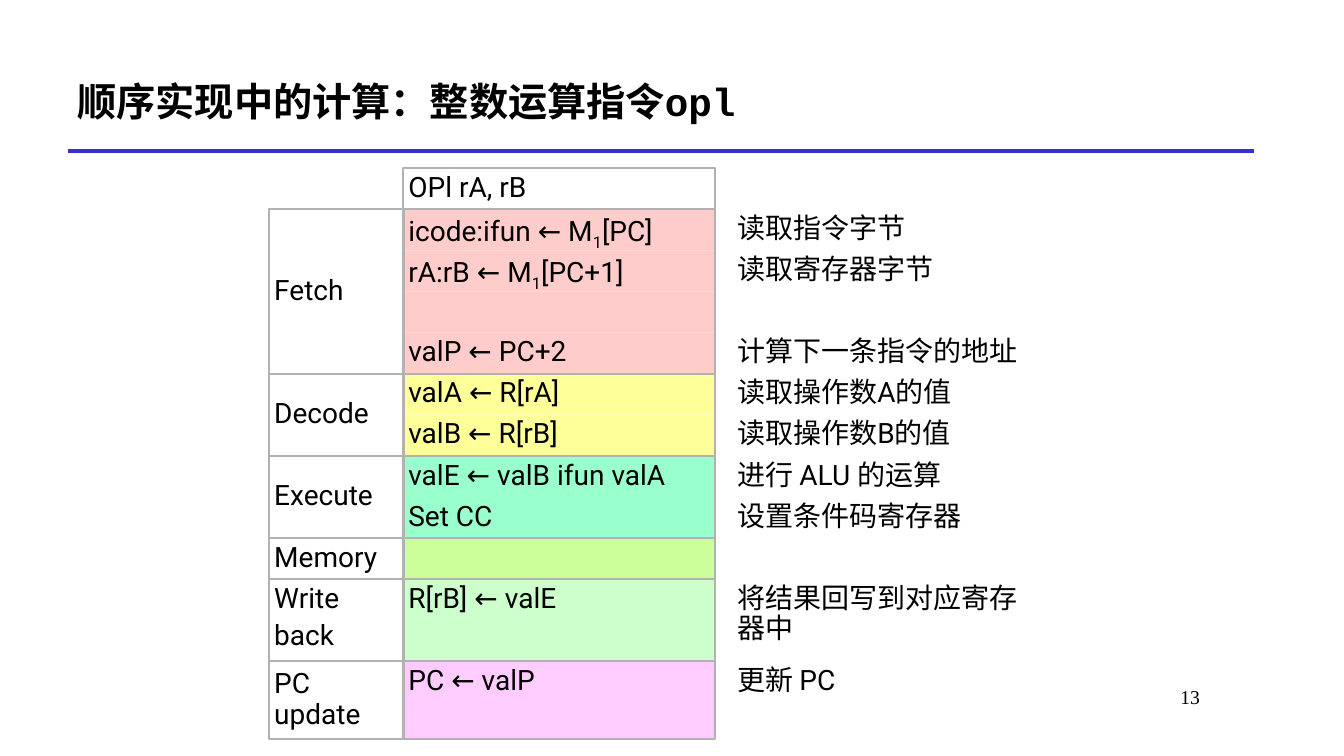
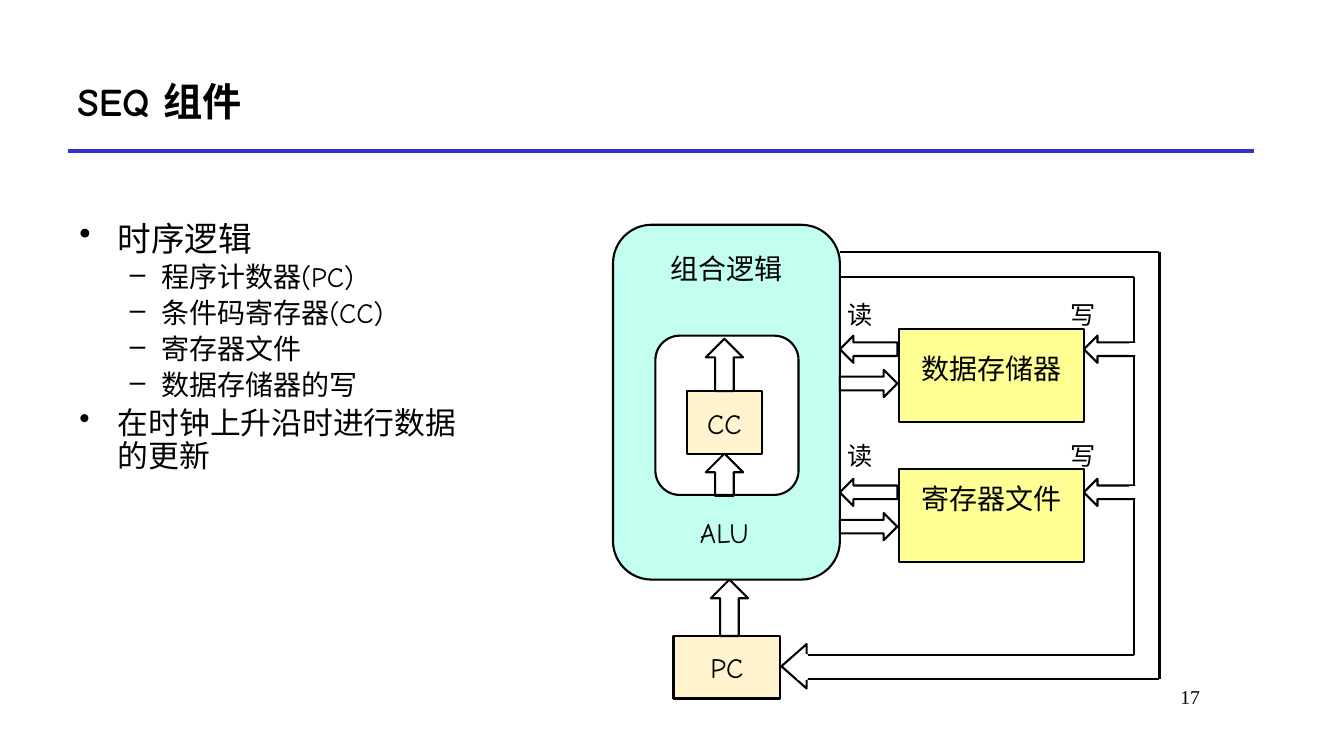
from itertools import pairwise
from lxml.etree import SubElement
from pptx import Presentation
from pptx.dml.color import RGBColor
from pptx.enum.shapes import MSO_CONNECTOR as LINK, MSO_SHAPE as FORM
from pptx.enum.text import MSO_ANCHOR as ANCHOR, PP_ALIGN as ALIGN
from pptx.oxml.ns import qn
from pptx.util import Inches, Pt

BLACK, WHITE, BLUE, GREY = "000000", "FFFFFF", "3333CC", "B2B2B2"
YELLOW, CREAM, MINT = "FFFF93", "FFF4CD", "C2FFF0"

TITLE = {"size": Pt(28), "bold": True}
NUMBER = {"size": Pt(14), "name": "Times New Roman"}
CODE = {"size": Pt(20), "name": "Roboto"}
LABEL = {"size": Pt(20), "name": "Comic Neue"}
SMALL = LABEL | {"size": Pt(18)}

TIGHT = {"line_spacing": 0.9}
MID = {"alignment": ALIGN.CENTER}
INSET = {f"margin_{side}": Inches(0.05) for side in ("left", "top", "right", "bottom")}
CENTRED = {"vertical_anchor": ANCHOR.MIDDLE}


def paint(fill, shade):
    if shade is None:
        fill.background()
    else:
        fill.solid()
        fill.fore_color.rgb = RGBColor.from_string(shade)


def draw(page, form, at, fill=None, line=None, text="", font={}, para={}, frame={}):
    place = [Inches(n) for n in at]
    if form is None:
        shape = page.shapes.add_textbox(*place)
    else:
        shape = page.shapes.add_shape(form, *place)
        shape.shadow.inherit = False
        paint(shape.fill, fill)
        paint(shape.line.fill, line)
        if line:
            shape.line.width = Pt(1.5)
    body = shape.text_frame
    for key, value in ({"word_wrap": True, "vertical_anchor": ANCHOR.TOP} | frame).items():
        setattr(body, key, value)
    for i, words in enumerate(text.split("\n") if text else []):
        part = body.add_paragraph() if i else body.paragraphs[0]
        for key, value in ({"alignment": ALIGN.LEFT} | para).items():
            setattr(part, key, value)
        for j, piece in enumerate(words.split("_")):
            run = part.add_run()
            run.text = piece
            for key, value in font.items():
                setattr(run.font, key, value)
            paint(run.font.fill, BLACK)
            if j % 2:
                run.font._element.set("baseline", "-25000")
    return shape


deck = Presentation()
deck.slide_width, deck.slide_height = Inches(13.33), Inches(7.5)
pages, wires = [], []

heads = [
    ("顺序实现中的计算：整数运算指令opl", "Courier New", "13"),
    ("SEQ 组件", "Comic Neue", "17"),
]
for title, face, number in heads:
    page = deck.slides.add_slide(deck.slide_layouts[6])
    pages.append(page)
    wires.append((page, (0.67, 1.5), (12.44, 1.5), BLUE, 3))
    draw(page, None, (10.11, 6.75, 1.89, 0.5), text=number, font=NUMBER,
         para={"alignment": ALIGN.RIGHT})
    draw(page, None, (0.67, 0.5, 11.78, 1), text=title, font=TITLE | {"name": face},
         frame=CENTRED)
steps, parts = pages

stages = [
    ("Fetch", "FFCCCC", [
        ("icode:ifun ← M_1_[PC]", "读取指令字节"),
        ("rA:rB ← M_1_[PC+1]", "读取寄存器字节"),
        ("", ""),
        ("valP ← PC+2", "计算下一条指令的地址")]),
    ("Decode", "FFFF99", [
        ("valA ← R[rA]", "读取操作数A的值"),
        ("valB ← R[rB]", "读取操作数B的值")]),
    ("Execute", "99FFCC", [
        ("valE ← valB ifun valA", "进行 ALU 的运算"),
        ("Set CC", "设置条件码寄存器")]),
    ("Memory", "CCFF99", [("", "")]),
    ("Write\nback", "CCFFCC", [
        ("R[rB] ← valE", "将结果回写到对应寄存器中"),
        ("", "")]),
    ("PC update", "FFCCFF", [("PC ← valP", "更新 PC")]),
]
left, mid, right = 2.67, 4, 7.26
slim, wide = 1.34, 3.09
top, pitch = 1.67, 4.89 / 12
cell = {"font": CODE, "para": TIGHT, "frame": INSET}

draw(steps, FORM.RECTANGLE, (mid, top, wide, pitch), line=GREY, text="OPl rA, rB", **cell)
top += pitch
for name, shade, rows in stages:
    high = 0.77 if name == "PC update" else pitch
    for i, (code, note) in enumerate(rows):
        y = top + i * high
        draw(steps, FORM.RECTANGLE, (mid, y, wide, high), shade, text=code, **cell)
        if note:
            draw(steps, None, (right, y, wide, high), text=note, **cell)
    tall = high * len(rows)
    draw(steps, FORM.RECTANGLE, (mid, top, wide, tall), line=GREY)
    tag = draw(steps, FORM.RECTANGLE, (left, top, slim, tall), line=GREY, text=name,
               font=CODE, para=TIGHT, frame=INSET | CENTRED)
    for line in tag.text_frame.paragraphs[1:]:
        line.space_before = Pt(10)
    if "\n" in name:
        for line in tag.text_frame.paragraphs:
            line.line_spacing = 0.7
    top += tall

items = [
    (0, 24, "时序逻辑"),
    (1, 20, "程序计数器(PC)"),
    (1, 20, "条件码寄存器(CC)"),
    (1, 20, "寄存器文件"),
    (1, 20, "数据存储器的写"),
    (0, 22, "在时钟上升沿时进行数据的更新"),
]
points = draw(parts, None, (0.69, 2.17, 4.17, 4.83), font=LABEL, para=TIGHT,
              text="\n".join(words for level, size, words in items))
for i, (level, size, words) in enumerate(items):
    line = points.text_frame.paragraphs[i]
    line.level = level
    line.space_before = Pt(size * 0.2 if i else 0)
    line.runs[0].font.size = Pt(size)
    margin, hang, mark = [(0.38, 0.38, "•"), (0.81, 0.31, "–")][level]
    props = line._p.get_or_add_pPr()
    props.set("marL", str(Inches(margin)))
    props.set("indent", str(-Inches(hang)))
    SubElement(props, qn("a:buChar")).set("char", mark)
points.text_frame.paragraphs[0].line_spacing = 0.85

blocks = [
    (FORM.RECTANGLE, (8.92, 4.65, 1.83, 0.93), YELLOW, "寄存器文件", 0.13),
    (FORM.RECTANGLE, (8.92, 3.26, 1.83, 0.93), YELLOW, "数据存储器", 0.23),
    (FORM.ROUNDED_RECTANGLE, (6.08, 2.23, 2.25, 3.52), MINT, "组合逻辑", 0.15),
    (FORM.ROUNDED_RECTANGLE, (6.5, 3.33, 1.42, 1.58), WHITE, "", 0),
    (FORM.RECTANGLE, (6.81, 3.88, 0.75, 0.62), CREAM, "CC", 0.15),
    (FORM.RECTANGLE, (6.68, 6.31, 1.06, 0.62), CREAM, "PC", 0.14),
]
for form, at, shade, words, drop in blocks:
    block = draw(parts, form, at, shade, BLACK, words, LABEL, MID,
                 INSET | {"margin_top": Inches(drop)})
    if form == FORM.ROUNDED_RECTANGLE:
        block.adjustments[0] = 0.17
draw(parts, None, (6.1, 5.1, 2.17, 0.4), text="ALU", font=LABEL, para=MID | TIGHT)

for bus in (
    [(8.33, 2.75), (11.25, 2.75), (11.25, 6.5), (7.92, 6.5)],
    [(8.33, 2.5), (11.5, 2.5), (11.5, 6.74), (7.92, 6.74)],
):
    for start, end in pairwise(bus):
        wires.append((parts, start, end, BLACK, 1.5))
for page, start, end, shade, width in wires:
    wire = page.shapes.add_connector(LINK.STRAIGHT, *[Inches(n) for n in start + end])
    paint(wire.line.fill, shade)
    wire.line.width = Pt(width)
    SubElement(wire._element.spPr, qn("a:effectLst"))

arrows = [
    (FORM.UP_ARROW, (7.05, 5.75, 0.37, 0.56)),
    (FORM.UP_ARROW, (7, 3.36, 0.37, 0.52)),
    (FORM.UP_ARROW, (7, 4.5, 0.37, 0.42)),
    (FORM.LEFT_ARROW, (7.75, 6.39, 0.25, 0.44)),
]
gaps = [(7.92, 6.5, 0.08, 0.24)]
for y, sign in ((3.33, 2.92), (4.75, 4.32)):
    arrows += [
        (FORM.LEFT_ARROW, (8.33, y, 0.57, 0.27)),
        (FORM.RIGHT_ARROW, (8.33, y + 0.34, 0.57, 0.27)),
        (FORM.LEFT_ARROW, (10.75, y, 0.5, 0.27)),
    ]
    gaps.append((11.21, y + 0.08, 0.08, 0.1))
    for x, words in ((8.31, "读"), (10.52, "写")):
        draw(parts, None, (x, sign, 0.78, 0.4), text=words, font=SMALL)
for form, at in arrows:
    arrow = draw(parts, form, at, line=BLACK)
    if at[2] == 0.25:
        arrow.adjustments[1] = 1
for at in gaps:
    draw(parts, FORM.RECTANGLE, at, WHITE, WHITE)

deck.save("out.pptx")
